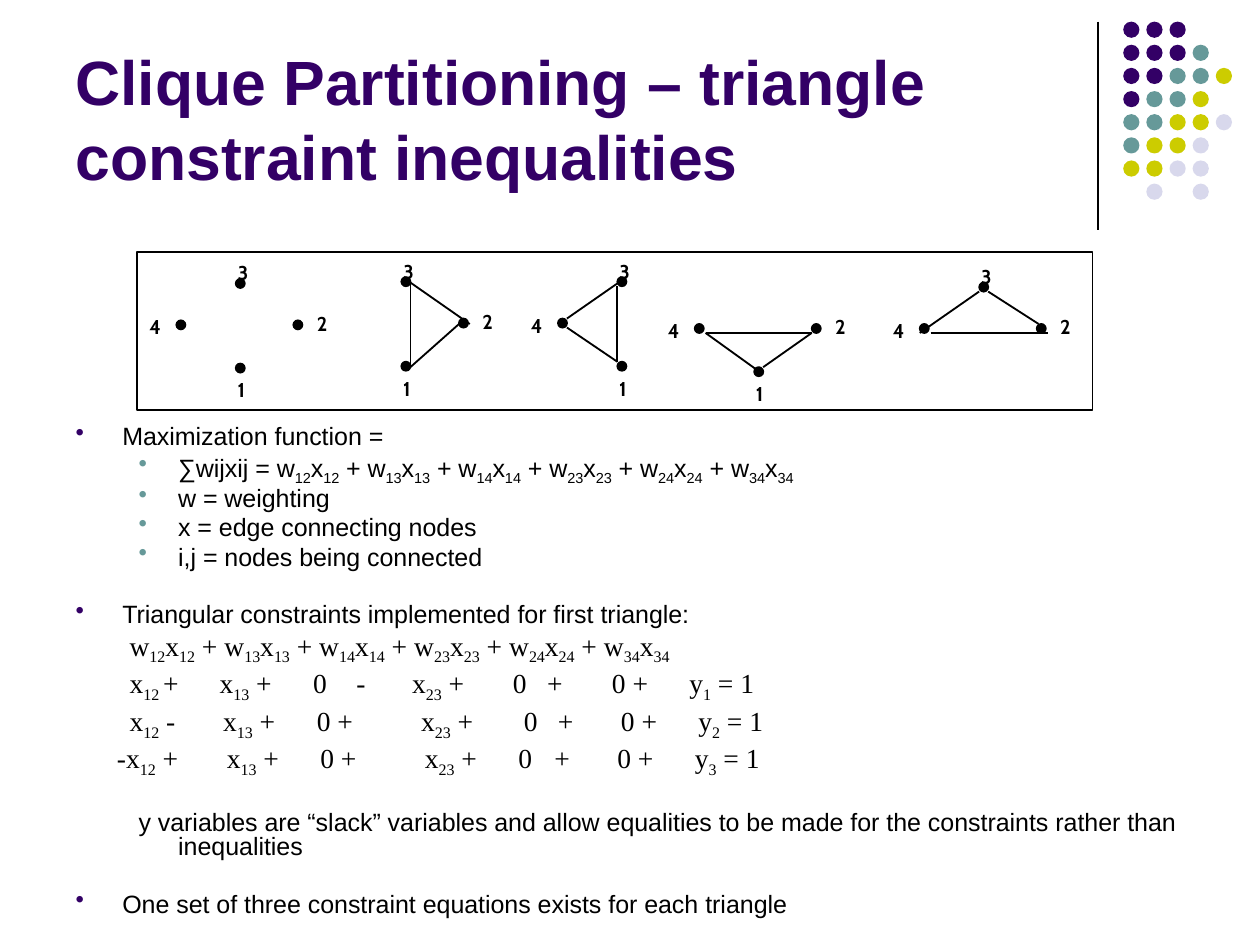
from lxml.etree import SubElement
from pptx import Presentation
from pptx.dml.color import RGBColor
from pptx.enum.shapes import MSO_CONNECTOR, MSO_SHAPE
from pptx.enum.text import MSO_ANCHOR
from pptx.oxml.ns import qn
from pptx.util import Inches, Pt

BLACK, WHITE = "000000", "FFFFFF"
PURPLE, TEAL, LIME, LAVENDER = "330066", "669999", "CCCC00", "D8D8EC"

# Corner ornament, one letter per dot
DOT_COLORS = {"P": PURPLE, "T": TEAL, "L": LIME, "V": LAVENDER}
DOT_ROWS = ["PPP", "PPPT", "PPTTL", "PTTL", "TTLLV", "TLLV", "LLVV", " V V"]

# Node number: offset of the dot in its graph, offset of the label from the dot
NODES = {
    3: ((0.33, 0), (-0.06, -0.14)),
    2: ((0.65, 0.23), (0.06, -0.09)),
    1: ((0.33, 0.47), (-0.06, 0.04)),
    4: ((0, 0.23), (-0.22, -0.07)),
}

# Graph position in the panel, its nodes, its edges (x1, y1, x2, y2, points)
GRAPHS = [
    (0.22, 0.15, (3, 2, 1, 4), []),
    (1.14, 0.14, (3, 2, 1), [(0.38, 0.03, 0.38, 0.5, 0.5),
                             (0.38, 0.03, 0.71, 0.26, 0.75),
                             (0.65, 0.26, 0.38, 0.5, 0.75)]),
    (2.34, 0.14, (3, 1, 4), [(0.38, 0, 0.05, 0.23, 0.75),
                             (0.05, 0.28, 0.33, 0.47, 0.75),
                             (0.33, 0.05, 0.33, 0.47, 0.75)]),
    (3.1, 0.17, (2, 1, 4), [(0.06, 0.28, 0.38, 0.51, 0.75),
                            (0.65, 0.28, 0.38, 0.47, 0.75),
                            (0.06, 0.28, 0.65, 0.28, 0.75)]),
    (4.35, 0.17, (3, 2, 4), [(0.33, 0.05, 0, 0.28, 0.75),
                             (0.06, 0.28, 0.71, 0.28, 0.75),
                             (0.38, 0.05, 0.66, 0.23, 0.75)]),
]

WEIGHTED_SUM = " + ".join(f"w_{ij}_x_{ij}_" for ij in (12, 13, 14, 23, 24, 34))

# Constraint rows: text and tab stops
CONSTRAINTS = [
    ("\t" + WEIGHTED_SUM, (0.3,)),
    ("\tx_12 _+\tx_13_ +\t0\t-\tx_23_ +\t0\t+\t0 +\ty_1_ = 1",
     (0.3, 0.8, 1.32, 1.56, 1.87, 2.43, 2.62, 2.98, 3.41)),
    ("\tx_12_ -\tx_13_ +\t0 +\tx_23_ +\t0\t+\t0 +\ty_2_ = 1",
     (0.3, 0.82, 1.34, 1.92, 2.49, 2.68, 3.03, 3.46)),
    ("\t-x_12_ +\tx_13_ +\t0 +\tx_23_ +\t0\t+\t0 +\ty_3_ = 1",
     (0.23, 0.84, 1.36, 1.94, 2.46, 2.66, 3.01, 3.44)),
]


def rgb(color):
    return RGBColor.from_string(color)


def add_box(slide, kind, x, y, width, height, fill, line=None):
    box = slide.shapes.add_shape(kind, Inches(x), Inches(y), Inches(width), Inches(height))
    box.shadow.inherit = False
    box.fill.solid()
    box.fill.fore_color.rgb = rgb(fill)
    if line:
        box.line.color.rgb = rgb(line)
        box.line.width = Pt(0.75)
    else:
        box.line.fill.background()


def add_line(slide, x1, y1, x2, y2, points=0.75):
    line = slide.shapes.add_connector(
        MSO_CONNECTOR.STRAIGHT, Inches(x1), Inches(y1), Inches(x2), Inches(y2))
    line.line.color.rgb = rgb(BLACK)
    line.line.width = Pt(points)
    SubElement(line._element.spPr, qn("a:effectLst"))


def add_frame(slide, x, y, width, height):
    frame = slide.shapes.add_textbox(
        Inches(x), Inches(y), Inches(width), Inches(height)).text_frame
    frame.word_wrap = True
    frame.margin_left = frame.margin_right = Inches(0.07)
    frame.margin_top = frame.margin_bottom = Inches(0.04)
    return frame


def style(font, name, size, color=BLACK, bold=False):
    font.name, font.size, font.bold = name, Pt(size), bold
    font.color.rgb = rgb(color)


def add_ornament(slide, x, y, pitch):
    add_line(slide, x - 0.14, y, x - 0.14, y + 1.16)
    for row, dots in enumerate(DOT_ROWS):
        for column, letter in enumerate(dots):
            if letter in DOT_COLORS:
                add_box(slide, MSO_SHAPE.OVAL, x + column * pitch, y + row * pitch,
                        0.09, 0.09, DOT_COLORS[letter])


def add_title(slide, x, y, width, height):
    title = add_frame(slide, x, y, width, height)
    title.vertical_anchor = MSO_ANCHOR.BOTTOM
    title.text = "Clique Partitioning – triangle constraint inequalities"
    style(title.paragraphs[0].runs[0].font, "Arial", 25, PURPLE, True)


def add_graph(slide, x, y, nodes, edges):
    for number in nodes:
        (dx, dy), (label_dx, label_dy) = NODES[number]
        add_box(slide, MSO_SHAPE.OVAL, x + dx, y + dy, 0.05, 0.05, BLACK, BLACK)
        label = add_frame(slide, x + dx + label_dx, y + dy + label_dy, 0.33, 0.21)
        label.text = str(number)
        style(label.paragraphs[0].runs[0].font, "Cabin", 8, bold=True)
    for x1, y1, x2, y2, points in edges:
        add_line(slide, x + x1, y + y1, x + x2, y + y2, points)


def add_graph_panel(slide, x, y, width, height):
    add_box(slide, MSO_SHAPE.RECTANGLE, x, y, width, height, WHITE, BLACK)
    for dx, dy, nodes, edges in GRAPHS:
        add_graph(slide, x + dx, y + dy, nodes, edges)


def add_paragraph(frame, text, before, indents=None, bullet=None, tabs=(),
                  font="Arial", size=10, spacing=0.8):
    """Text between a pair of underscores is set as a subscript."""
    first = not frame.paragraphs[0].runs
    paragraph = frame.paragraphs[0] if first else frame.add_paragraph()
    properties = paragraph._p.get_or_add_pPr()
    if indents:
        margin, indent = indents
        properties.set("marL", str(Inches(margin)))
        properties.set("indent", str(Inches(indent)))
    if bullet:
        color = SubElement(properties, qn("a:buClr"))
        SubElement(color, qn("a:srgbClr"), val=bullet)
        SubElement(properties, qn("a:buSzPct"), val="100000")
        SubElement(properties, qn("a:buChar"), char="•")
    if tabs:
        stops = SubElement(properties, qn("a:tabLst"))
        for stop in tabs:
            SubElement(stops, qn("a:tab"), pos=str(Inches(stop)), algn="l")
    paragraph.line_spacing = spacing
    paragraph.space_before = Pt(before)
    for index, part in enumerate(text.split("_")):
        if part:
            run = paragraph.add_run()
            run.text = part
            style(run.font, font, size)
            if index % 2:
                run._r.get_or_add_rPr().set("baseline", "-25000")


def add_body(slide, x, y, width, height):
    body = add_frame(slide, x, y, width, height)
    top_level, sub_level = (0.26, -0.26), (0.57, -0.22)
    item_gap, section_gap = 2.1, 13.4

    # Objective and its terms
    add_paragraph(body, "Maximization function =", 0, top_level, PURPLE)
    for term in ("∑wijxij = " + WEIGHTED_SUM, "w = weighting",
                 "x = edge connecting nodes", "i,j = nodes being connected"):
        add_paragraph(body, term, item_gap, sub_level, TEAL)

    # Constraint equations
    add_paragraph(body, "Triangular constraints implemented for first triangle:",
                  section_gap, top_level, PURPLE)
    for equation, tabs in CONSTRAINTS:
        add_paragraph(body, equation, 0, tabs=tabs,
                      font="Times New Roman", size=11, spacing=1)

    # Remarks
    add_paragraph(body, "y variables are “slack” variables and allow equalities to be made "
                  "for the constraints rather than inequalities", section_gap, sub_level)
    add_paragraph(body, "One set of three constraint equations exists for each triangle",
                  section_gap, top_level, PURPLE)


def main():
    deck = Presentation()
    deck.slide_width, deck.slide_height = Inches(7), Inches(5.25)
    slide = deck.slides.add_slide(deck.slide_layouts[6])
    add_ornament(slide, 6.24, 0.12, 0.9 / 7)
    add_title(slide, 0.35, 0.26, 5.77, 0.85)
    add_graph_panel(slide, 0.76, 1.4, 5.31, 0.88)
    add_body(slide, 0.35, 2.33, 6.3, 2.81)
    deck.save("out.pptx")


if __name__ == "__main__":
    main()
